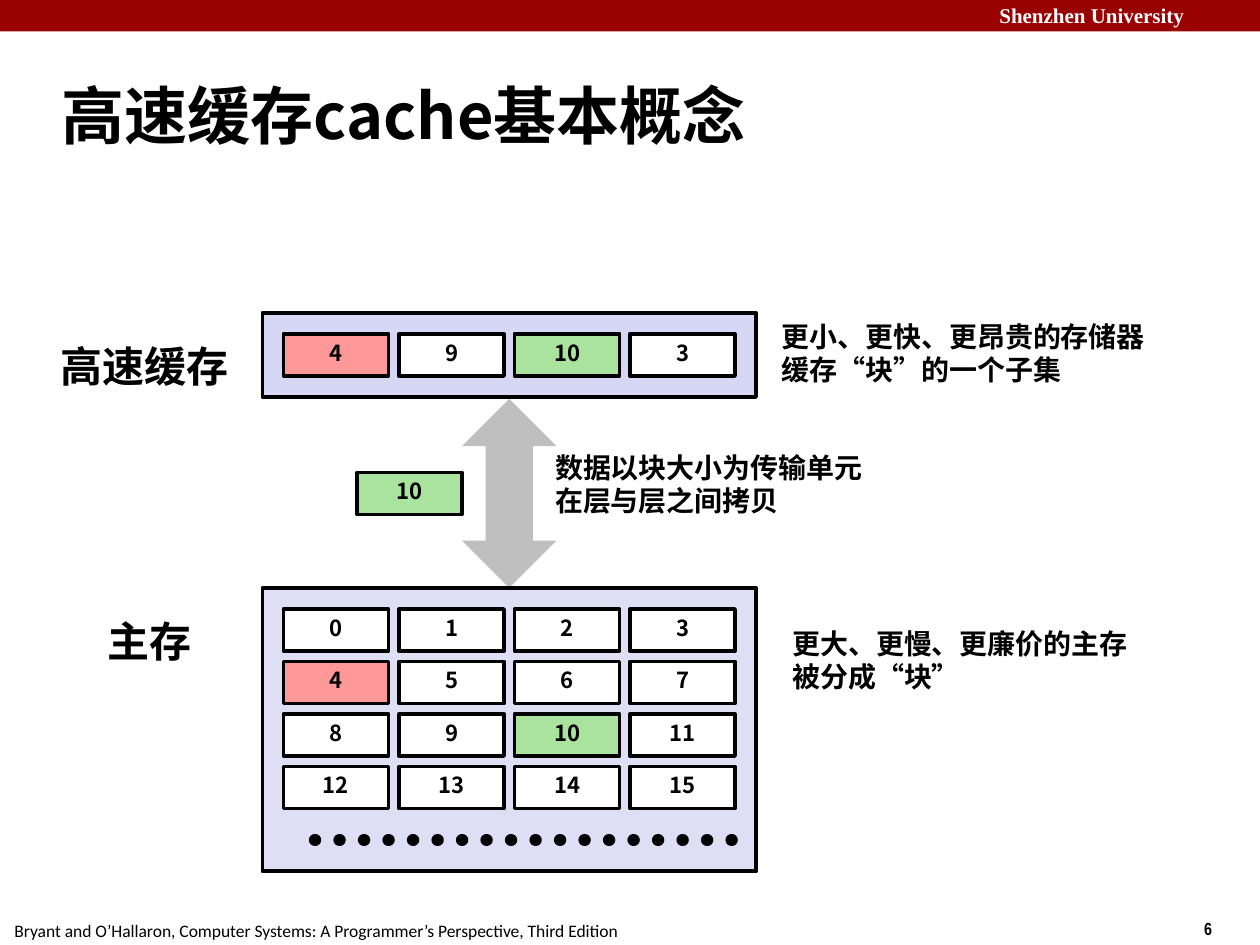
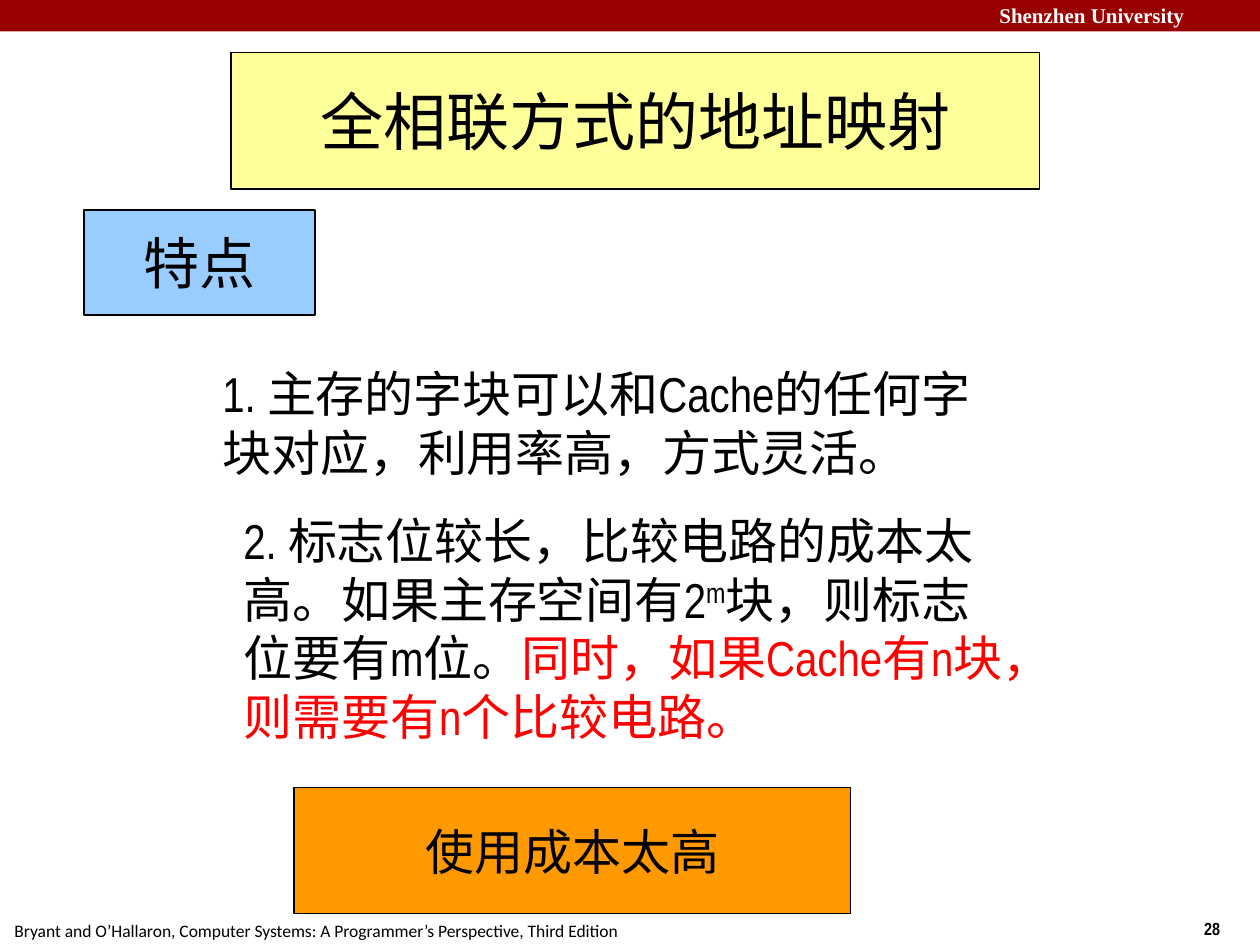
from lxml.etree import SubElement
from pptx import Presentation
from pptx.dml.color import RGBColor
from pptx.enum.dml import MSO_LINE
from pptx.enum.shapes import MSO_CONNECTOR, MSO_SHAPE
from pptx.enum.text import MSO_ANCHOR, MSO_AUTO_SIZE, PP_ALIGN
from pptx.oxml.ns import qn
from pptx.util import Inches, Pt

COLORS = {
    "black": "000000", "white": "FFFFFF", "band": "990000", "alert": "FF0000",
    "cache": "D6D6F5", "memory": "DEDFF5", "arrow": "BFBFBF",
    "red block": "FF9999", "green block": "A9E39D",
    "heading": "FFFF99", "label": "99CCFF", "verdict": "FF9900",
}
SANS, NARROW, SERIF, FOOT = "Noto Sans CJK SC", "Arial Narrow", "Times New Roman", "Calibri"

# The slide is a grid of 120 columns by 90 rows; boxes are (column, row, columns, rows).
COLUMNS, ROWS = 120, 90
WIDTH, HEIGHT = Inches(10), Inches(7.5)
BLOCK = (10, 4)
BLOCK_PITCH = (11, 5)
BLOCK_MARGIN = 2
HIGHLIGHTS = {4: "red block", 10: "green block"}


def color(name):
    return RGBColor.from_string(COLORS[name])


def place(box):
    column, row, columns, rows = box
    return (round(column * WIDTH / COLUMNS), round(row * HEIGHT / ROWS),
            round(columns * WIDTH / COLUMNS), round(rows * HEIGHT / ROWS))


def add_span(para, text, size, font, ink="black", bold=False, raised=False):
    span = para.add_run()
    span.text = text
    span.font.size = Pt(size)
    span.font.name = font
    span.font.bold = bold
    span.font.color.rgb = color(ink)
    properties = span.font._element
    SubElement(properties, qn("a:ea")).set("typeface", SANS)
    if raised:
        properties.set("baseline", "30000")


def write(shape, lines, size, font, bold=False, ink="black", align=PP_ALIGN.LEFT,
          anchor=MSO_ANCHOR.TOP, spacing=None, wrap=True):
    """Fill a shape with lines; a line is a string or a list of (text, span options)."""
    frame = shape.text_frame
    frame.auto_size = MSO_AUTO_SIZE.NONE
    frame.word_wrap = wrap
    frame.vertical_anchor = anchor
    for index, line in enumerate(lines):
        para = frame.add_paragraph() if index else frame.paragraphs[0]
        para.alignment = align
        if spacing:
            para.line_spacing = spacing
        for text, options in [(line, {})] if isinstance(line, str) else line:
            add_span(para, text, size, font, **{"ink": ink, "bold": bold, **options})


def add_text(page, box, lines, size, font, **options):
    write(page.shapes.add_textbox(*place(box)), lines, size, font, **options)


def paint(shape, fill, line_width):
    shape.fill.solid()
    shape.fill.fore_color.rgb = color(fill)
    if line_width:
        shape.line.color.rgb = color("black")
        shape.line.width = Pt(line_width)
    else:
        shape.line.fill.background()


def add_panel(page, box, fill, line_width=0, kind=MSO_SHAPE.RECTANGLE):
    panel = page.shapes.add_shape(kind, *place(box))
    panel.shadow.inherit = False
    paint(panel, fill, line_width)
    return panel


def move_title(page, box):
    title = page.shapes.title
    title.left, title.top, title.width, title.height = place(box)
    return title


def add_page(deck, number):
    """Add a title-only slide with the shared band and footer."""
    page = deck.slides.add_slide(deck.slide_layouts[5])
    add_panel(page, (0, 0, COLUMNS, 3), "band")
    add_text(page, (94, -0.36, 26.9, 3.6), ["Shenzhen University"], 12, SERIF,
             bold=True, ink="white")
    add_text(page, (113.5, 86.8, 9, 3.2), [str(number)], 10, NARROW, bold=True, wrap=False)
    add_text(page, (0.2, 87, 60.1, 3.2),
             ["Bryant and O’Hallaron, Computer Systems: A Programmer’s Perspective, Third Edition"],
             10, FOOT, wrap=False)
    return page


def add_block(page, column, row, number):
    block = add_panel(page, (column, row, *BLOCK), HIGHLIGHTS.get(number, "white"), 2.25)
    write(block, [str(number)], 12.6, SANS, bold=True, align=PP_ALIGN.CENTER,
          anchor=MSO_ANCHOR.MIDDLE, spacing=0.8)


def add_store(page, box, fill, numbers):
    """Draw a storage level holding numbered blocks, four to a row."""
    add_panel(page, box, fill, 2.25)
    for index, number in enumerate(numbers):
        row, column = divmod(index, 4)
        add_block(page, box[0] + BLOCK_MARGIN + column * BLOCK_PITCH[0],
                  box[1] + BLOCK_MARGIN + row * BLOCK_PITCH[1], number)


def add_dots(page, box):
    """Draw the dotted row that stands for further blocks in a store."""
    column, row, columns, _ = box
    left, top, length, _ = place((column + 5, row + 24, columns - 7, 0))
    dots = page.shapes.add_connector(MSO_CONNECTOR.STRAIGHT, left, top, left + length, top)
    dots.line.color.rgb = color("black")
    dots.line.width = Pt(7)
    dots.line.dash_style = MSO_LINE.ROUND_DOT
    properties = dots._element.spPr
    properties.find(qn("a:ln")).set("cap", "rnd")
    SubElement(properties, qn("a:effectLst"))


def add_transfer(page, box):
    """Draw the two-way arrow with the block that travels along it."""
    column, row, _, _ = box
    add_panel(page, box, "arrow", kind=MSO_SHAPE.UP_DOWN_ARROW)
    add_block(page, column - BLOCK[0], row + 7, 10)


def build_cache_concept(deck):
    page = add_page(deck, 6)
    write(move_title(page, (4.7, 5.9, 99.6, 10)), ["高速缓存cache基本概念"], 36, SANS,
          bold=True, anchor=MSO_ANCHOR.MIDDLE)

    memory = (25, 56, 47, 27)
    add_transfer(page, (44, 38, 9, 18))
    add_store(page, (25, 29.8, 47, 8), "cache", [4, 9, 10, 3])
    add_store(page, memory, "memory", range(16))
    add_dots(page, memory)

    for box, name in [((4.6, 31.8, 18.4, 6), "高速缓存"), ((9.1, 58, 10.3, 6), "主存")]:
        add_text(page, box, [name], 24, SANS, bold=True, wrap=False)

    remarks = [
        ((73.3, 30, 37, 7.4), ["更小、更快、更昂贵的存储器", "缓存“块”的一个子集"]),
        ((51.7, 42.5, 37.2, 7.4), ["数据以块大小为传输单元", "在层与层之间拷贝"]),
        ((74.3, 59.3, 34.3, 7.4), ["更大、更慢、更廉价的主存", "被分成“块”"]),
    ]
    for box, lines in remarks:
        add_text(page, box, lines, 16, SANS, bold=True, anchor=MSO_ANCHOR.MIDDLE,
                 spacing=0.98, wrap=False)


def write_caption(shape, fill, text, size):
    paint(shape, fill, 0.75)
    write(shape, [text], size, NARROW, align=PP_ALIGN.CENTER,
          anchor=MSO_ANCHOR.MIDDLE, wrap=False)


def build_associative_mapping(deck):
    page = add_page(deck, 28)
    write_caption(move_title(page, (22, 5, 77, 13)), "heading", "全相联方式的地址映射", 36)
    for box, fill, text, size in [((8, 20, 22, 10), "label", "特点", 32),
                                  ((28, 75, 53, 12), "verdict", "使用成本太高", 28)]:
        write_caption(add_panel(page, box, fill), fill, text, size)

    points = [
        ((20, 34, 76, 12.5), [("1. 主存的字块可以和Cache的任何字块对应，利用率高，方式灵活。", {})]),
        ((22, 48, 75, 23.6), [
            ("2. 标志位较长，比较电路的成本太高。如果主存空间有2", {}),
            ("m", {"raised": True}),
            ("块，则标志位要有m位。", {}),
            ("同时，如果Cache有n块，则需要有n个比较电路。", {"ink": "alert"}),
        ]),
    ]
    for box, spans in points:
        add_text(page, box, [spans], 28, NARROW)


def main():
    deck = Presentation()
    deck.slide_width, deck.slide_height = WIDTH, HEIGHT
    build_cache_concept(deck)
    build_associative_mapping(deck)
    deck.save("out.pptx")


if __name__ == "__main__":
    main()
